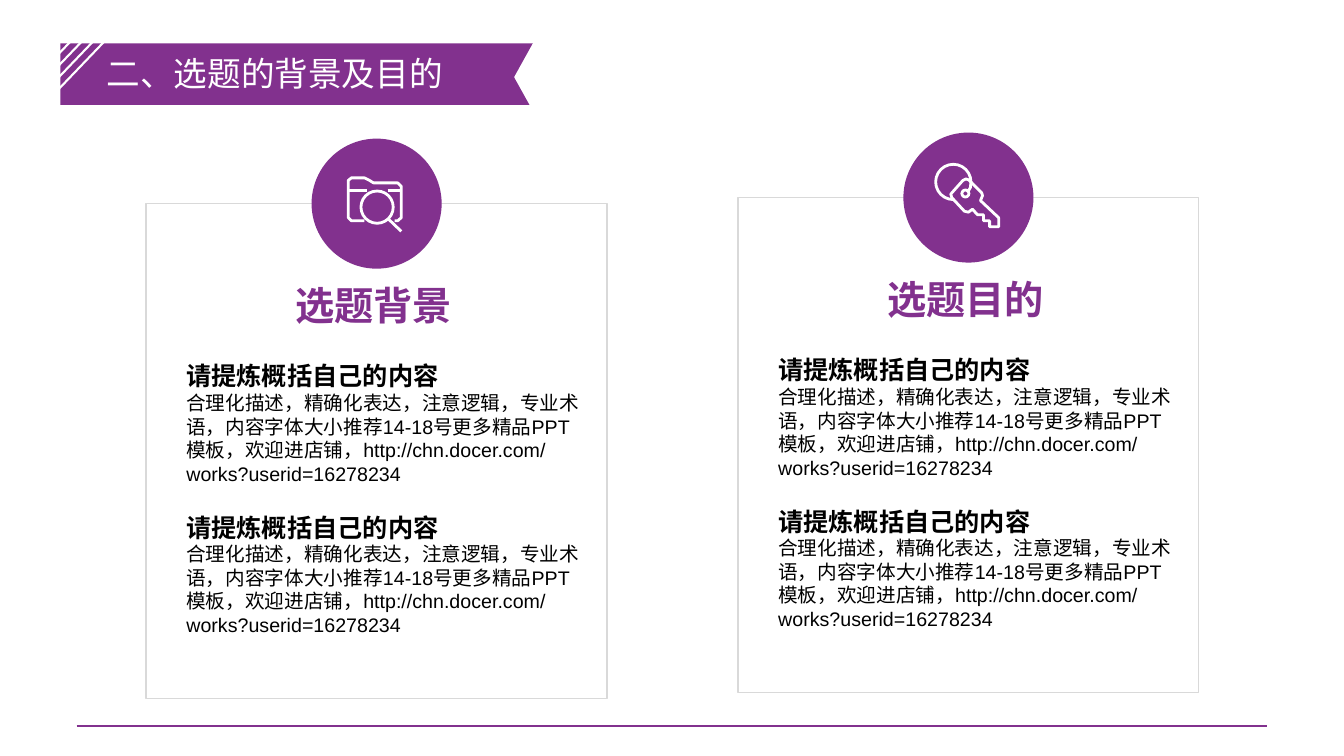
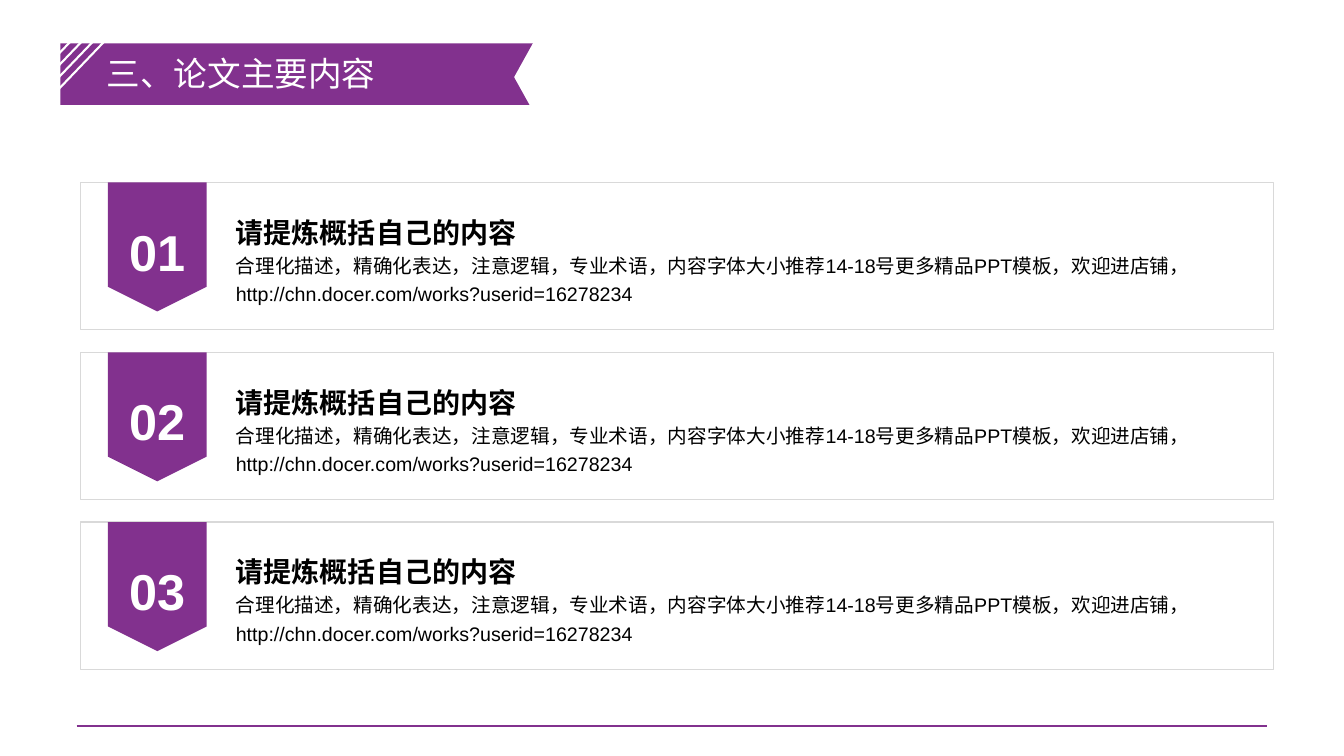
from lxml.etree import SubElement
from pptx import Presentation
from pptx.dml.color import RGBColor
from pptx.enum.shapes import MSO_CONNECTOR, MSO_SHAPE
from pptx.enum.text import PP_ALIGN
from pptx.oxml.ns import qn
from pptx.util import Inches, Pt

THEME = dict(
    font="Arial", purple="82318E", white="FFFFFF", black="000000", gray="D9D9D9",
    banner=24, card=28, number=36, head=18, row_head=20, body=14,
)
W, H = 13.33, 7.5

HEAD = "请提炼概括自己的内容"
BODY = (
    "合理化描述，精确化表达，注意逻辑，专业术语，内容字体大小推荐14-18号更多精品PPT模板，"
    "欢迎进店铺，http://chn.docer.com/works?userid=16278234"
)

FOLDER = [
    ("line", [(-12, 17), (-25, 17), (-28, 14), (-28, -23), (-25, -25.5), (-12, -25.5),
              (-7, -23), (-3, -20.5), (21, -20.5), (24.5, -17), (24.5, 14), (21, 17), (18, 17)]),
    ("line", [(-28, -13), (-10, -13)]),
    ("line", [(11, -13), (24.5, -13)]),
    ("ring", (0.5, 3.5, 16)),
    ("line", [(12, 15.5), (24.5, 27.5)]),
]
KEY = [
    ("ring", (-15, -15.5, 17.5)),
    ("area", [(-17.5, -3.5), (-5.5, -17), (-2.5, -18.5), (0.5, -17.5), (13, -5), (14, -2),
              (12, 3), (30, 20), (30, 29), (21, 29), (21, 23), (15, 23), (15, 17), (9, 17),
              (4, 11.5), (0, 14.5), (-4, 13.5), (-16.5, 0)]),
    ("ring", (-3, -4, 3.5)),
    ("line", [(2.5, -16), (2, -10), (-1, -5)]),
]

CARDS_TITLE = "二、选题的背景及目的"
CARDS = [
    dict(title="选题背景", icon=FOLDER, x=1.45, y=2.02, items=[(HEAD, BODY)] * 2),
    dict(title="选题目的", icon=KEY, x=7.32, y=1.96, items=[(HEAD, BODY)] * 2),
]
ROWS_TITLE = "三、论文主要内容"
ROWS = [("01", HEAD, BODY), ("02", HEAD, BODY), ("03", HEAD, BODY)]


def rgb(name):
    return RGBColor.from_string(THEME[name])


def paint(sp, fill=None, line=None, width=1):
    sp.shadow.inherit = False
    if fill:
        sp.fill.solid()
        sp.fill.fore_color.rgb = rgb(fill)
    else:
        sp.fill.background()
    if line:
        sp.line.color.rgb = rgb(line)
        sp.line.width = Pt(width)
    else:
        sp.line.fill.background()
    return sp


def shape(s, kind, x, y, w, h, **look):
    return paint(s.shapes.add_shape(kind, Inches(x), Inches(y), Inches(w), Inches(h)), **look)


def line(s, x1, y1, x2, y2, color):
    c = s.shapes.add_connector(
        MSO_CONNECTOR.STRAIGHT, Inches(x1), Inches(y1), Inches(x2), Inches(y2))
    c.line.color.rgb = rgb(color)
    c.line.width = Pt(1.5)
    SubElement(c._element.spPr, qn("a:effectLst"))


def text(s, x, y, w, h, paras, color="black", align=PP_ALIGN.LEFT, spacing=None):
    tf = s.shapes.add_textbox(Inches(x), Inches(y), Inches(w), Inches(h)).text_frame
    tf.word_wrap = True
    for i, (words, size, bold) in enumerate(paras):
        p = tf.add_paragraph() if i else tf.paragraphs[0]
        p.alignment = align
        p.line_spacing = spacing
        r = p.add_run()
        r.text = words
        r.font.name = THEME["font"]
        r.font.size = Pt(THEME[size])
        r.font.bold = bold
        r.font.color.rgb = rgb(color)


def draw_icon(s, parts, cx, cy):
    for kind, data in parts:
        if kind == "ring":
            x, y, r = (v / 100 for v in data)
            shape(s, MSO_SHAPE.OVAL, cx + x - r, cy + y - r, 2 * r, 2 * r,
                  fill="purple", line="white", width=2)
            continue
        pts = [(x * 10, y * 10) for x, y in data]
        fb = s.shapes.build_freeform(*pts[0], scale=Inches(1) / 1000)
        fb.add_line_segments(pts[1:], close=kind == "area")
        sp = fb.convert_to_shape(Inches(cx), Inches(cy))
        paint(sp, fill="purple" if kind == "area" else None, line="white", width=2)


def new_slide(prs, title):
    s = prs.slides.add_slide(prs.slide_layouts[6])
    line(s, 0.76, 7.2, 12.57, 7.2, "purple")
    shape(s, MSO_SHAPE.RECTANGLE, 0.6, 0.43, 4.76, 0.61, fill="purple")
    notch = shape(s, MSO_SHAPE.ISOSCELES_TRIANGLE, 4.67, 0.6, 1.19, 0.33, fill="white")
    notch.rotation = 270
    for i in range(4):
        dx, dy = i * 0.083, i * 0.03
        line(s, 0.96 + dx, 0.14 + dy, 0.28 + dx, 0.85 + dy, "white")
    text(s, 0.96, 0.48, 4, 0.5, [(title, "banner", False)], color="white")
    return s


def draw_card(s, title, icon, x, y, items):
    w, h, d = 4.57, 4.91, 1.29
    cx = x + w / 2
    shape(s, MSO_SHAPE.RECTANGLE, x, y, w, h, line="gray")
    shape(s, MSO_SHAPE.OVAL, cx - d / 2, y - d / 2, d, d, fill="purple")
    draw_icon(s, icon, cx, y)
    text(s, x + 1.38, y + 0.72, 1.9, 0.57, [(title, "card", True)], color="purple")
    for i, (head, body) in enumerate(items):
        text(s, x + 0.3, y + 1.51 + i * 1.5, 4.15, 1.35,
             [(head, "head", True), (body, "body", False)])


def draw_row(s, y, number, head, body):
    shape(s, MSO_SHAPE.RECTANGLE, 0.8, y, 11.83, 1.46, line="gray")
    tag = shape(s, MSO_SHAPE.PENTAGON, 0.92, y + 0.15, 1.28, 0.98, fill="purple")
    tag.rotation = 90
    tag.adjustments[0] = 0.25
    text(s, 2.24, y + 0.21, 9.92, 1.04,
         [(head, "row_head", True), (body, "body", False)], spacing=1.2)
    text(s, 1.03, y + 0.21, 1.06, 0.76, [(number, "number", True)],
         color="white", align=PP_ALIGN.CENTER, spacing=1.2)


def main():
    prs = Presentation()
    prs.slide_width, prs.slide_height = Inches(W), Inches(H)
    s = new_slide(prs, CARDS_TITLE)
    for card in CARDS:
        draw_card(s, **card)
    s = new_slide(prs, ROWS_TITLE)
    for i, row in enumerate(ROWS):
        draw_row(s, 1.81 + i * 1.685, *row)
    prs.save("out.pptx")


if __name__ == "__main__":
    main()
